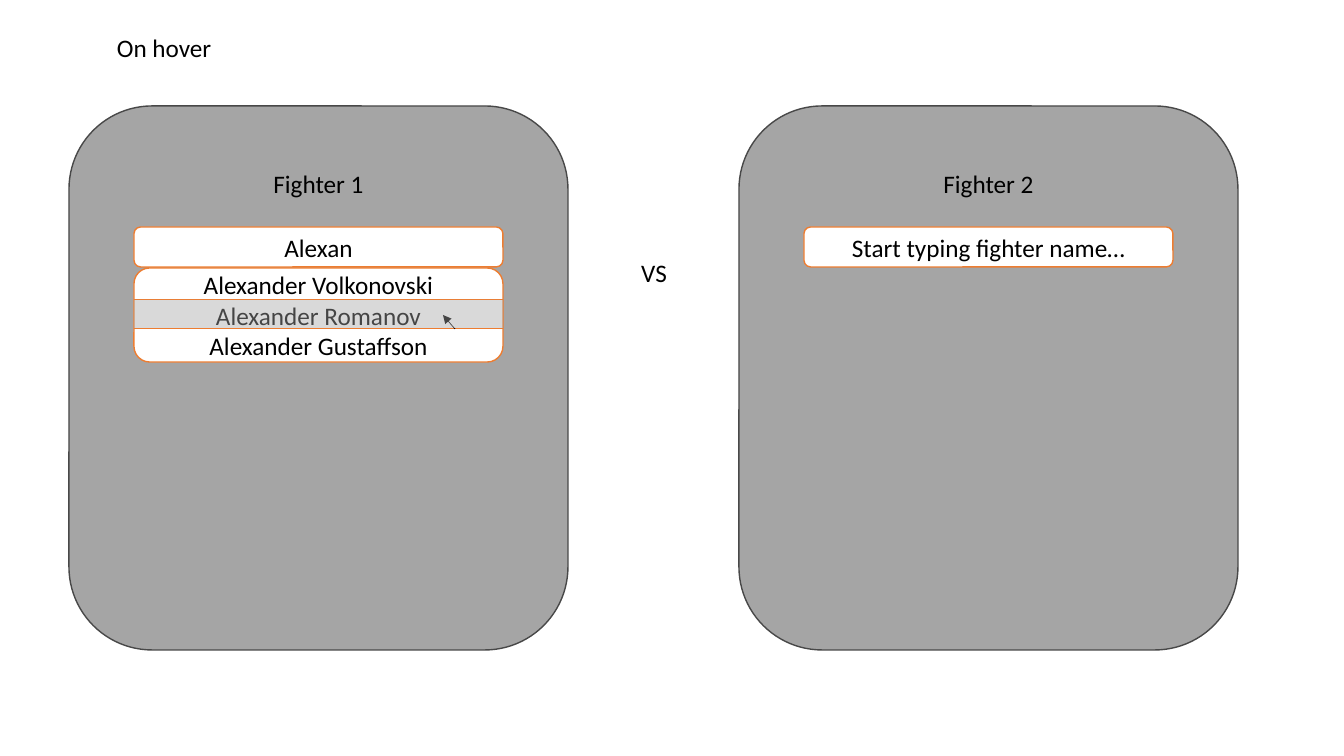
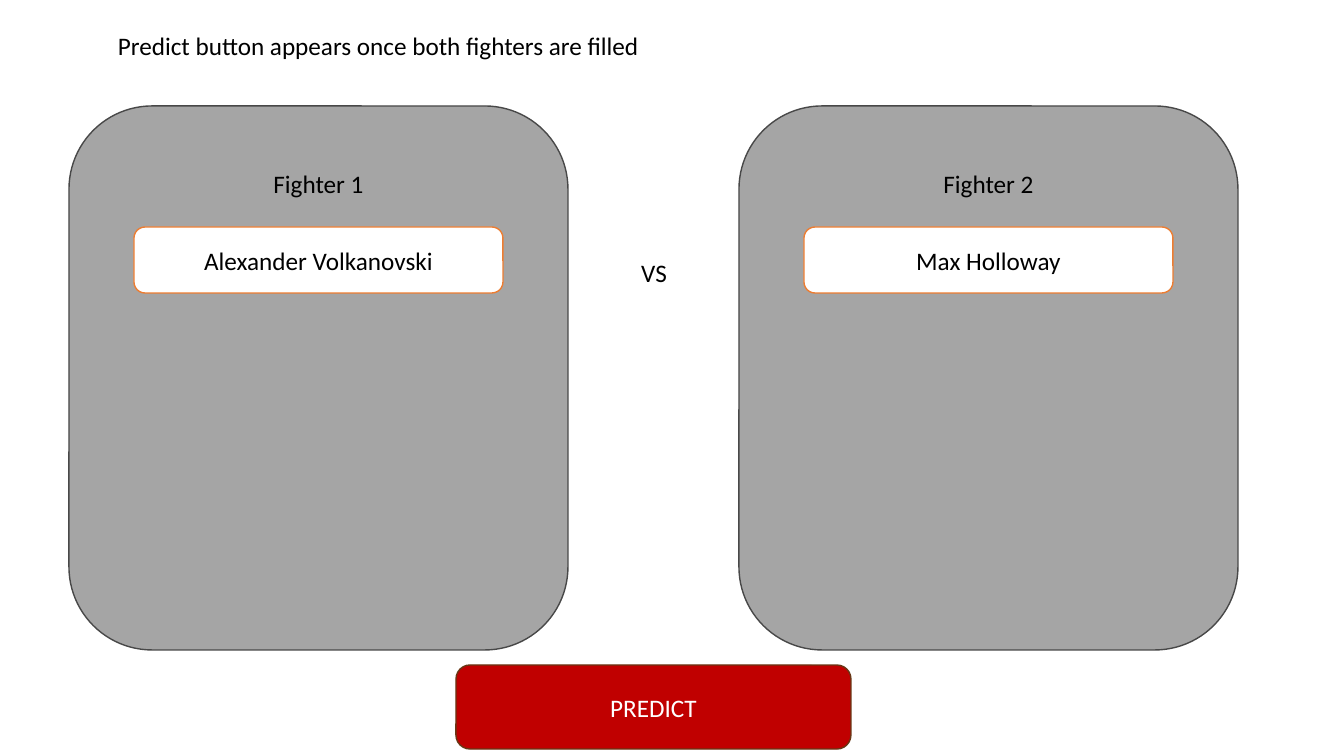
"""Builds two wireframe slides of a fighter picker: hovering a suggestion, then predicting."""
from lxml.etree import SubElement
from pptx import Presentation
from pptx.dml.color import RGBColor
from pptx.enum.shapes import MSO_CONNECTOR as LINK, MSO_SHAPE as SHAPE
from pptx.enum.text import MSO_ANCHOR as ANCHOR, PP_ALIGN as ALIGN
from pptx.oxml.ns import qn
from pptx.util import Emu, Pt

BLACK = RGBColor(0x00, 0x00, 0x00)
WHITE = RGBColor(0xFF, 0xFF, 0xFF)
CARD_GREY = RGBColor(0xA5, 0xA5, 0xA5)
CARD_EDGE = RGBColor(0x48, 0x48, 0x48)
HOVER_GREY = RGBColor(0xA6, 0xA6, 0xA6)
ORANGE = RGBColor(0xED, 0x7D, 0x31)
RED = RGBColor(0xC0, 0x00, 0x00)
BROWN = RGBColor(0x68, 0x37, 0x15)

PIXEL = 914400 / 100.8
CARD_LEFTS = (69, 739)
CARD_TOP, CARD_WIDTH, CARD_HEIGHT = 106, 499, 544
FIELD_INSET, FIELD_TOP, FIELD_WIDTH = 65, 227, 369
LABEL_INSET, LABEL_WIDTH, LABEL_HEIGHT = 107, 285, 40


def px(*lengths):
    return [Emu(round(length * PIXEL)) for length in lengths]


def add_box(slide, place, lines=(), fill=None, edge=None, color=BLACK,
            align=ALIGN.CENTER, corner=0.16667):
    if fill is None:
        box = slide.shapes.add_textbox(*px(*place))
    else:
        kind = SHAPE.ROUNDED_RECTANGLE if corner else SHAPE.RECTANGLE
        box = slide.shapes.add_shape(kind, *px(*place))
        box.shadow.inherit = False
        if corner:
            box.adjustments[0] = corner
        box.fill.solid()
        box.fill.fore_color.rgb = fill
        if edge is None:
            box.line.fill.background()
        else:
            box.line.color.rgb = edge
            box.line.width = Pt(1)
        box.text_frame.vertical_anchor = ANCHOR.MIDDLE
    frame = box.text_frame
    frame.word_wrap = True
    for number, line in enumerate(lines):
        paragraph = frame.add_paragraph() if number else frame.paragraphs[0]
        paragraph.alignment = align
        run = paragraph.add_run()
        run.text = line
        run.font.name = "Calibri"
        run.font.size = Pt(18)
        run.font.color.rgb = color
    return box


deck = Presentation()
deck.slide_width, deck.slide_height = px(1344, 756)

screens = (
    ("On hover", (107, 27, 260, 40), 40, ("Alexan", "Start typing fighter name…")),
    ("Predict button appears once both fighters are filled", (108, 25, 597, 40), 66,
     ("Alexander Volkanovski", "Max Holloway")),
)
slides = []
for caption, caption_place, field_height, entries in screens:
    slide = deck.slides.add_slide(deck.slide_layouts[6])
    slides.append(slide)
    for number, (left, entry) in enumerate(zip(CARD_LEFTS, entries), 1):
        add_box(slide, (left, CARD_TOP, CARD_WIDTH, CARD_HEIGHT),
                fill=CARD_GREY, edge=CARD_EDGE)
        add_box(slide, (left + FIELD_INSET, FIELD_TOP, FIELD_WIDTH, field_height),
                [entry], WHITE, ORANGE)
        add_box(slide, (left + LABEL_INSET, 163, LABEL_WIDTH, LABEL_HEIGHT),
                [f"Fighter {number}"])
    add_box(slide, (622, 252, 64, LABEL_HEIGHT), ["VS"])
    add_box(slide, caption_place, [caption], align=ALIGN.LEFT)
hover, predict = slides

list_left = CARD_LEFTS[0] + FIELD_INSET
list_right = list_left + FIELD_WIDTH
add_box(hover, (list_left, 268, FIELD_WIDTH, 94),
        ["Alexander Volkonovski", "Alexander Romanov", "Alexander Gustaffson"],
        WHITE, ORANGE)
dividers = [(list_left, y, list_right, y, ORANGE) for y in (299, 328)]
pointer = (455, 329, 443, 315, BLACK)
for *ends, color in (*dividers, pointer):
    stroke = hover.shapes.add_connector(LINK.STRAIGHT, *px(*ends))
    stroke.line.color.rgb = color
    stroke.line.width = Pt(0.5)
    if color == BLACK:
        SubElement(stroke.line._get_or_add_ln(), qn("a:tailEnd"), type="triangle")
    SubElement(stroke._element.spPr, qn("a:effectLst"))
highlight = add_box(hover, (list_left, 300, FIELD_WIDTH, 28), fill=HOVER_GREY, corner=0)
tint = highlight.fill._xPr.find(qn("a:solidFill"))[0]
SubElement(tint, qn("a:alpha"), val="42000")

add_box(predict, (456, 665, 395, 84), ["PREDICT"], RED, BROWN, WHITE)

deck.save("out.pptx")
